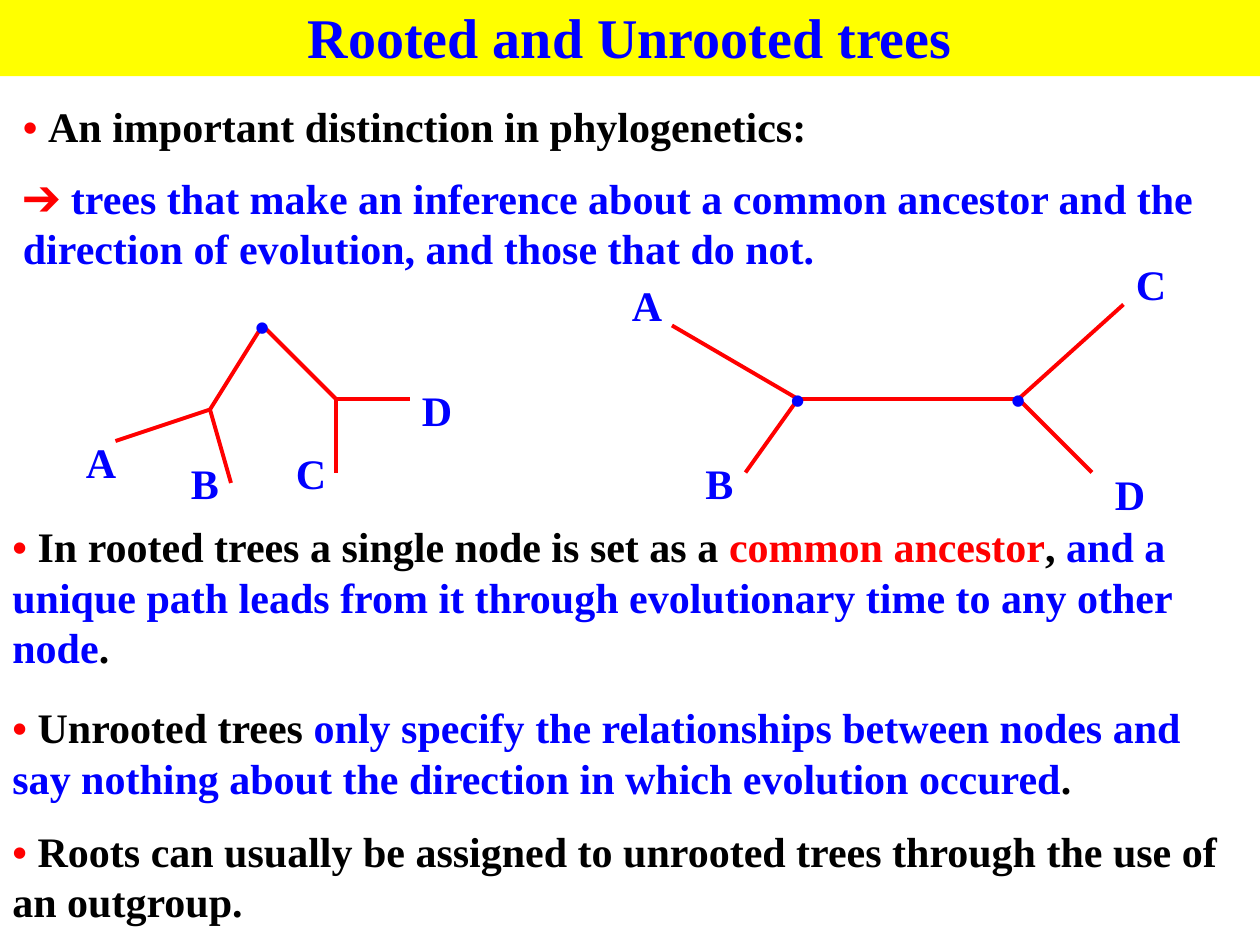
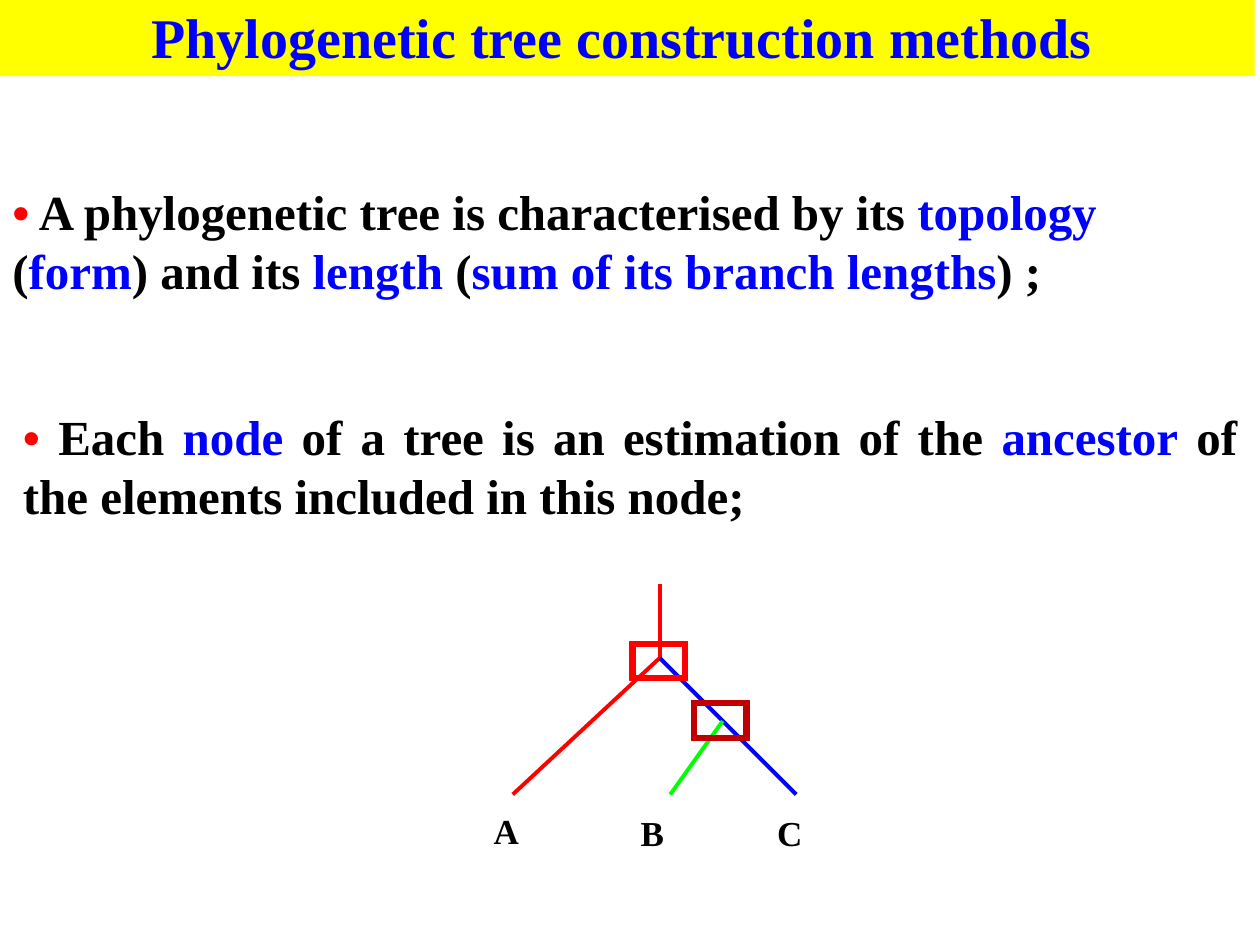
from lxml import etree
from pptx import Presentation
from pptx.dml.color import RGBColor
from pptx.enum.shapes import MSO_CONNECTOR as CONN, MSO_SHAPE as SHAPE
from pptx.enum.text import MSO_ANCHOR as ANCHOR, MSO_AUTO_SIZE as AUTO, PP_ALIGN as ALIGN
from pptx.oxml.ns import qn
from pptx.util import Pt

FONT = "Times New Roman"
RED = RGBColor(0xFF, 0x00, 0x00)
DARK_RED = RGBColor(0xC0, 0x00, 0x00)
BLUE = RGBColor(0x00, 0x00, 0xFF)
GREEN = RGBColor(0x00, 0xFF, 0x00)
BLACK = RGBColor(0x00, 0x00, 0x00)
YELLOW = RGBColor(0xFF, 0xFF, 0x00)


def add_text(s, box, paragraphs, size=24, align=None, wrap=True):
    """Add a text box; each paragraph is a list of (text, colour) runs."""
    tf = s.shapes.add_textbox(*[Pt(v) for v in box]).text_frame
    tf.word_wrap = wrap
    tf.auto_size = AUTO.SHAPE_TO_FIT_TEXT
    for i, runs in enumerate(paragraphs):
        p = tf.add_paragraph() if i else tf.paragraphs[0]
        p.alignment = align
        if i:
            p.space_before = Pt(size / 2)
        for text, colour in runs:
            r = p.add_run()
            r.text = text
            r.font.name = FONT
            r.font.size = Pt(size)
            r.font.bold = True
            r.font.color.rgb = colour


def add_branch(s, start, end, colour=RED):
    line = s.shapes.add_connector(CONN.STRAIGHT, *[Pt(v) for v in start + end])
    line.line.color.rgb = colour
    line.line.width = Pt(2.25)
    sp_pr = line._element.find(qn("p:spPr"))
    etree.SubElement(sp_pr, qn("a:effectLst"))


prs = Presentation()
prs.slide_width, prs.slide_height = Pt(720), Pt(540)

# Slides with their yellow title bands: title, band width, right margin
slides = []
for title, width, margin in [
    ("Rooted and Unrooted trees", 720, 7.2),
    ("Phylogenetic tree construction methods", 717, 13.2),
]:
    s = prs.slides.add_slide(prs.slide_layouts[5])
    band = s.shapes.title
    band.left, band.top, band.width, band.height = Pt(0), Pt(-2), Pt(width), Pt(45.5)
    band.fill.solid()
    band.fill.fore_color.rgb = YELLOW
    tf = band.text_frame
    tf.auto_size = AUTO.NONE
    tf.vertical_anchor = ANCHOR.MIDDLE
    tf.margin_right = Pt(margin)
    p = tf.paragraphs[0]
    p.alignment = ALIGN.CENTER
    r = p.add_run()
    r.text = title
    r.font.name = FONT
    r.font.size = Pt(32)
    r.font.bold = True
    r.font.color.rgb = BLUE
    slides.append(s)

# Slide 1: rooted and unrooted trees
s = slides[0]
add_text(s, (6, 54, 702, 109), [
    [("• ", RED), ("An important distinction in phylogenetics:", BLACK)],
    [("➔ ", RED),
     ("trees that make an inference about a common ancestor and the direction "
      "of evolution, and those that do not.", BLUE)],
])
add_text(s, (0, 294, 696, 94), [[
    ("• ", RED), ("In rooted trees a single node is set as a ", BLACK),
    ("common ancestor", RED), (", ", BLACK),
    ("and a unique path leads from it through evolutionary time to any other node", BLUE),
    (".", BLACK),
]])
add_text(s, (0, 397.5, 702, 65.5), [[
    ("• ", RED), ("Unrooted trees ", BLACK),
    ("only specify the relationships between nodes and say nothing about the "
     "direction in which evolution occured", BLUE),
    (".", BLACK),
]])
add_text(s, (0, 468, 708, 65), [[
    ("• ", RED),
    ("Roots can usually be assigned to unrooted trees through the use of an outgroup.", BLACK),
]])

root, left_node, right_node = (150, 186), (120, 234), (192, 228)
rooted = {
    "branches": [(root, right_node), (root, left_node),
                 (right_node, (234, 228)), (right_node, (192, 270)),
                 (left_node, (132, 276)), (left_node, (66, 252))],
    "labels": [("A", 42, 246), ("B", 102, 258), ("C", 162, 252), ("D", 234, 216)],
    "dots": [root],
}
ab_node, cd_node = (456, 228), (582, 228)
unrooted = {
    "branches": [(ab_node, cd_node), (ab_node, (384, 186)), (ab_node, (426, 270)),
                 (cd_node, (642, 174)), (cd_node, (624, 270))],
    "labels": [("A", 354, 156), ("B", 396, 258), ("C", 642, 144), ("D", 630, 264)],
    "dots": [ab_node, cd_node],
}
for tree in (unrooted, rooted):
    for start, end in tree["branches"]:
        add_branch(s, start, end)
    for name, x, y in tree["labels"]:
        add_text(s, (x, y, 36, 36), [[(name, BLUE)]])
    for x, y in tree["dots"]:
        add_text(s, (x - 11.5, y - 18, 23, 36), [[("•", BLUE)]], wrap=False)

# Slide 2: topology, length and nodes
s = slides[1]
add_text(s, (0, 100, 717, 75), [[
    ("•", RED), (" A phylogenetic tree is characterised by its ", BLACK),
    ("topology", BLUE), (" (", BLACK), ("form", BLUE), (") and its ", BLACK),
    ("length", BLUE), (" (", BLACK), ("sum of its branch lengths", BLUE), (") ;", BLACK),
]], size=28)
add_text(s, (6, 229, 708, 75), [[
    ("•", RED), (" Each ", BLACK), ("node", BLUE),
    (" of a tree is an estimation of the ", BLACK), ("ancestor", BLUE),
    (" of the elements included in this node;", BLACK),
]], size=28, align=ALIGN.JUSTIFY)

top_node, inner_node, tip_y = (377, 376), (413, 412), 454
for start, end, colour in [
    ((377, 334), top_node, RED),
    (top_node, (293, tip_y), RED),
    (top_node, (455, tip_y), BLUE),
    (inner_node, (383, tip_y), GREEN),
]:
    add_branch(s, start, end, colour)
for name, x, y, width in [("A", 275, 459, 42), ("B", 359, 460, 36), ("C", 437, 460, 30)]:
    add_text(s, (x, y, width, 31), [[(name, BLACK)]], size=20)
for x, y, colour in [(395, 400.5, DARK_RED), (360, 366.5, RED)]:
    frame = s.shapes.add_shape(SHAPE.FRAME, Pt(x), Pt(y), Pt(33), Pt(22.5))
    frame.shadow.inherit = False
    frame.fill.solid()
    frame.fill.fore_color.rgb = colour
    frame.line.color.rgb = colour
    frame.line.width = Pt(0.75)

prs.save("out.pptx")
